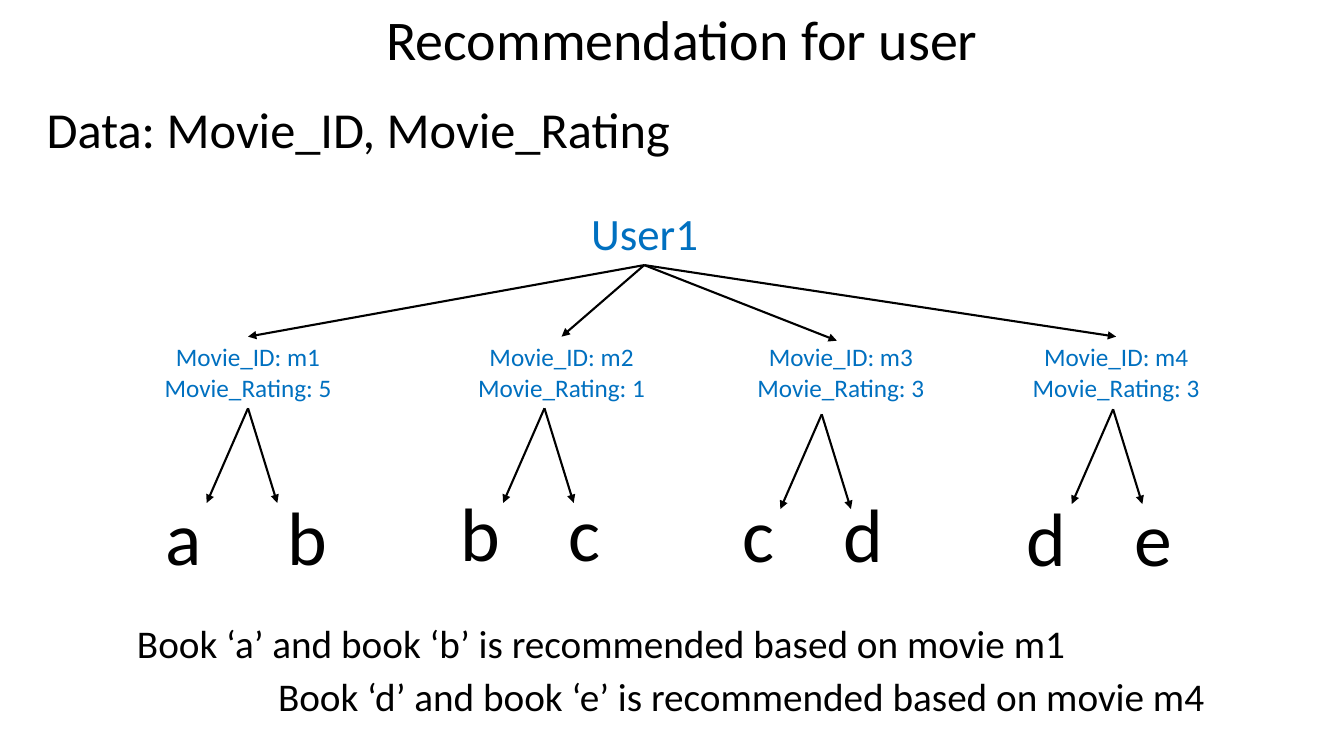
from lxml.etree import SubElement
from pptx import Presentation
from pptx.dml.color import RGBColor
from pptx.enum.shapes import MSO_CONNECTOR
from pptx.enum.text import MSO_AUTO_SIZE, PP_ALIGN
from pptx.oxml.ns import qn
from pptx.util import Inches, Pt

COLORS = {"ink": "000000", "blue": "0070C0"}
FONT = "Calibri"
GRID = {"columns": 133.3, "rows": 75, "cell": 0.1}

LABELS = [
    ("Recommendation for user", 40, "ink", (37, 0, 61.3, 7.7)),
    ("Data: Movie_ID, Movie_Rating", 36, "ink", (3.3, 9.2, 64.5, 7.1)),
    ("User1", 32, "blue", (57.1, 19.9, 13.7, 6.4)),
    ("Book ‘a’ and book ‘b’ is recommended based on movie m1", 28, "ink", (12, 60.9, 95.2, 5.7)),
    ("Book ‘d’ and book ‘e’ is recommended based on movie m4", 28, "ink", (25.9, 66.2, 95.2, 5.7)),
]
USER_POINT = (63.9, 26.3)
MOVIES = [
    {"name": "m1", "rating": 5, "center": 24.6, "tip": (24.6, 33.4), "fork": (24.6, 40.5),
     "books": ("a", "b"), "books_at": (15.4, 48.1), "second": 12.1},
    {"name": "m2", "rating": 1, "center": 55.7, "tip": (55.7, 33.4), "fork": (54, 40.5),
     "books": ("b", "c"), "books_at": (44.7, 47.7), "second": 10.7},
    {"name": "m3", "rating": 3, "center": 83.4, "tip": (83, 33.8), "fork": (81.5, 41.1),
     "books": ("c", "d"), "books_at": (72.7, 47.8), "second": 10},
    {"name": "m4", "rating": 3, "center": 110.7, "tip": (110.7, 33.4), "fork": (110.4, 40.6),
     "books": ("d", "e"), "books_at": (100.8, 48.2), "second": 10.7},
]
MOVIE_SIZE = (18.8, 7.1)
MOVIE_TOP = 33.4
BOOKS_SIZE = (19.9, 10.1)
FORK_REACH = [(-4.1, 9.4), (2.9, 9.4)]


def cells(*counts):
    return [Inches(count * GRID["cell"]) for count in counts]


def add_text(page, lines, size, color, place, align=PP_ALIGN.CENTER, wrap=False):
    frame = page.shapes.add_textbox(*cells(*place)).text_frame
    for name, value in {"word_wrap": wrap, "auto_size": MSO_AUTO_SIZE.SHAPE_TO_FIT_TEXT}.items():
        setattr(frame, name, value)
    for index, line in enumerate(lines):
        para = frame.add_paragraph() if index else frame.paragraphs[0]
        para.alignment = align
        span = para.add_run()
        span.text = line
        for name, value in {"name": FONT, "size": Pt(size)}.items():
            setattr(span.font, name, value)
        span.font.color.rgb = RGBColor.from_string(COLORS[color])
    return frame


def add_tab_stop(para, position):
    stops = SubElement(para._p.get_or_add_pPr(), qn("a:tabLst"))
    SubElement(stops, qn("a:tab"), pos=str(cells(position)[0]), algn="l")


def add_arrow(page, start, end):
    arrow = page.shapes.add_connector(MSO_CONNECTOR.STRAIGHT, *cells(*start, *end))
    arrow.line.width = Pt(1.5)
    arrow.line.color.rgb = RGBColor.from_string(COLORS["ink"])
    SubElement(arrow.line._get_or_add_ln(), qn("a:tailEnd"), type="triangle")
    SubElement(arrow._element.spPr, qn("a:effectLst"))


def add_movie(page, movie):
    width, height = MOVIE_SIZE
    lines = [f"Movie_ID: {movie['name']}", f"Movie_Rating: {movie['rating']}"]
    add_text(page, lines, 18, "blue", (movie["center"] - width / 2, MOVIE_TOP, width, height))
    books = add_text(page, ["\t".join(movie["books"])], 54, "ink",
                     (*movie["books_at"], *BOOKS_SIZE), PP_ALIGN.LEFT, True)
    add_tab_stop(books.paragraphs[0], movie["second"])
    add_arrow(page, USER_POINT, movie["tip"])
    left, top = movie["fork"]
    for across, down in FORK_REACH:
        add_arrow(page, (left, top), (left + across, top + down))


def main():
    deck = Presentation()
    deck.slide_width, deck.slide_height = cells(GRID["columns"], GRID["rows"])
    page = deck.slides.add_slide(deck.slide_layouts[6])
    for text, size, color, place in LABELS:
        add_text(page, [text], size, color, place)
    for movie in MOVIES:
        add_movie(page, movie)
    deck.save("out.pptx")


if __name__ == "__main__":
    main()
